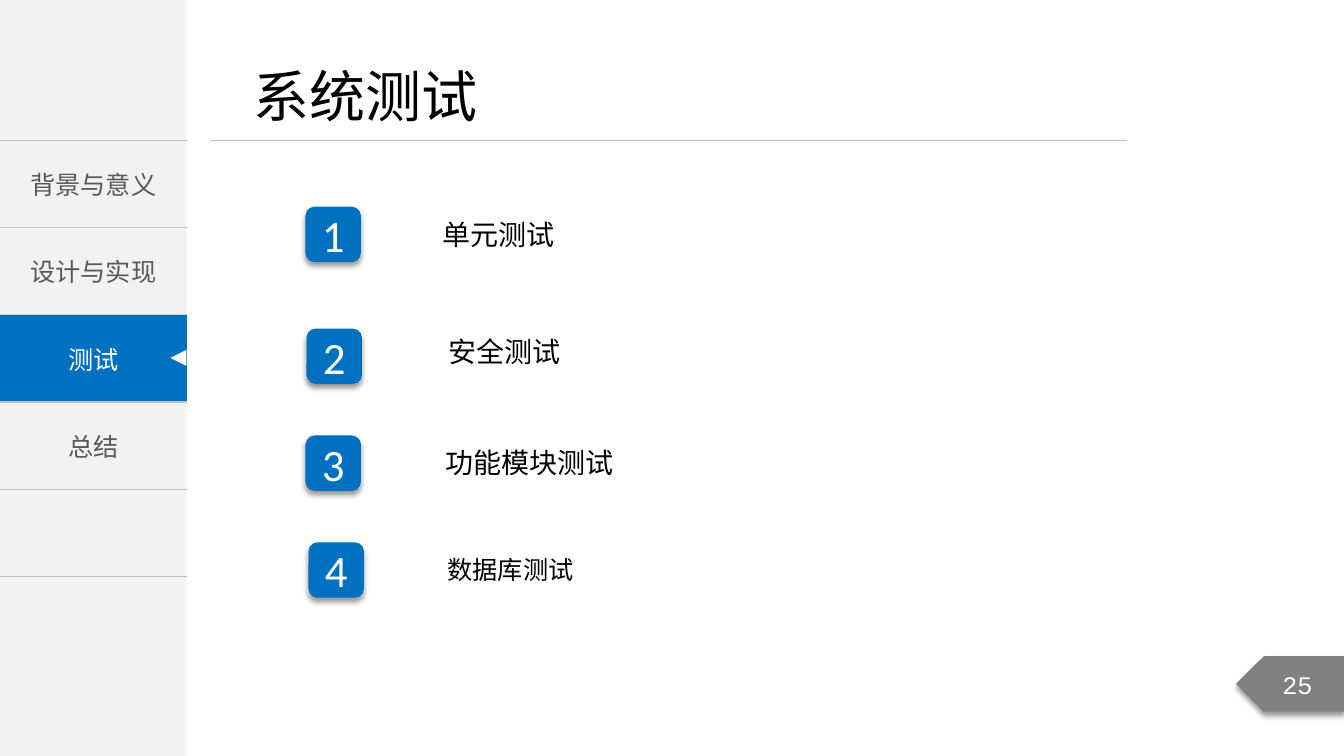
from dataclasses import dataclass

from pptx import Presentation
from pptx.dml.color import RGBColor
from pptx.enum.shapes import MSO_CONNECTOR, MSO_SHAPE
from pptx.enum.text import MSO_ANCHOR, MSO_AUTO_SIZE, PP_ALIGN
from pptx.oxml import parse_xml
from pptx.oxml.ns import nsdecls, qn
from pptx.util import Inches, Pt
from lxml.etree import SubElement


@dataclass(frozen=True)
class Theme:
    accent: str = "0070C0"
    panel: str = "F2F2F2"
    rule: str = "BFBFBF"
    muted: str = "595959"
    badge: str = "808080"
    white: str = "FFFFFF"
    black: str = "000000"
    chinese: str = "Noto Sans CJK SC"
    latin: str = "Calibri"
    mono: str = "Courier New"
    title: int = 40
    number: int = 32
    item: int = 20
    small: int = 18


theme = Theme()


def write_text(text_frame, text, size=theme.small, color=theme.black,
               font=theme.chinese, align=PP_ALIGN.CENTER, wrap=True):
    text_frame.word_wrap = wrap
    paragraph = text_frame.paragraphs[0]
    paragraph.alignment = align
    run = paragraph.add_run()
    run.text = text
    run.font.size = Pt(size)
    run.font.name = font
    run.font.color.rgb = RGBColor.from_string(color)
    SubElement(run.font._element, qn("a:ea"), typeface=theme.chinese)


def add_block(slide, kind, left, top, width, height, color, shadow=False):
    shape = slide.shapes.add_shape(
        kind, Inches(left), Inches(top), Inches(width), Inches(height))
    shape.fill.solid()
    shape.fill.fore_color.rgb = RGBColor.from_string(color)
    shape.line.fill.background()
    shape.shadow.inherit = False
    shape.text_frame.vertical_anchor = MSO_ANCHOR.MIDDLE
    if shadow:
        effects = shape._element.spPr.find(qn("a:effectLst"))
        effects.append(parse_xml(
            f'<a:outerShdw {nsdecls("a")} blurRad="{Pt(4)}" dist="{Pt(3)}" '
            f'dir="5400000" algn="t" rotWithShape="0"><a:srgbClr val="{theme.black}">'
            '<a:alpha val="40000"/></a:srgbClr></a:outerShdw>'))
    return shape


presentation = Presentation()
presentation.slide_width = Inches(13.33)
presentation.slide_height = Inches(7.5)
slide = presentation.slides.add_slide(presentation.slide_layouts[6])

menu_width = 1.85
menu_top = 1.39
row_height = 0.866
active_row = 2
add_block(slide, MSO_SHAPE.RECTANGLE, 0, 0, menu_width, 7.5, theme.panel)

menu = ["背景与意义", "", "测试", "总结", ""]
table = slide.shapes.add_table(
    len(menu), 1, 0, Inches(menu_top), Inches(menu_width),
    Inches(row_height * len(menu))).table
table.first_row = False
table.horz_banding = False
for index, label in enumerate(menu):
    table.rows[index].height = Inches(row_height)
    cell = table.cell(index, 0)
    cell.vertical_anchor = MSO_ANCHOR.MIDDLE
    properties = cell._tc.get_or_add_tcPr()
    for side in ("lnL", "lnR"):
        border = SubElement(properties, qn(f"a:{side}"), w="0")
        SubElement(border, qn("a:noFill"))
    for side in ("lnT", "lnB"):
        border = SubElement(properties, qn(f"a:{side}"), w=str(Pt(1)))
        border_fill = SubElement(border, qn("a:solidFill"))
        SubElement(border_fill, qn("a:srgbClr"), val=theme.rule)
    if index == active_row:
        cell.fill.solid()
        cell.fill.fore_color.rgb = RGBColor.from_string(theme.accent)
    else:
        cell.fill.background()
    if label:
        write_text(cell.text_frame, label,
                   color=theme.white if index == active_row else theme.muted)

design = add_block(slide, MSO_SHAPE.RECTANGLE, 0, 2.26, menu_width, 0.86, theme.panel)
write_text(design.text_frame, "设计与实现", color=theme.muted)

title_rule = slide.shapes.add_connector(
    MSO_CONNECTOR.STRAIGHT, Inches(2.09), Inches(menu_top), Inches(11.18), Inches(menu_top))
title_rule.line.color.rgb = RGBColor.from_string(theme.rule)
title_rule.line.width = Pt(0.5)
SubElement(title_rule._element.spPr, qn("a:effectLst"))

page_tag = add_block(slide, MSO_SHAPE.PENTAGON, 12.26, 6.51, 1.08, 0.55,
                     theme.badge, shadow=True)
page_tag._element.spPr.find(qn("a:xfrm")).set("flipH", "1")
write_text(page_tag.text_frame, "25", color=theme.white, font=theme.mono)

pointer = add_block(slide, MSO_SHAPE.ISOSCELES_TRIANGLE, 1.69, 3.47, 0.16, 0.16, theme.white)
pointer.rotation = 270

badges = [(3.03, 2.05), (3.04, 3.26), (3.03, 4.32), (3.06, 5.38)]
for number, (left, top) in enumerate(badges, start=1):
    badge = add_block(slide, MSO_SHAPE.ROUNDED_RECTANGLE, left, top, 0.55, 0.55,
                      theme.accent, shadow=True)
    write_text(badge.text_frame, str(number), size=theme.number,
               color=theme.white, font=theme.latin)

left_aligned, centered = PP_ALIGN.LEFT, PP_ALIGN.CENTER
texts = [
    ("系统测试", 2.42, 0.56, 2.45, 0.77, theme.title, theme.chinese, left_aligned, False),
    ("单元测试", 4.29, 2.11, 1.32, 0.44, theme.item, theme.latin, left_aligned, False),
    ("安全测试", 4.34, 3.27, 1.32, 0.44, theme.item, theme.chinese, centered, True),
    ("功能模块测试", 4.31, 4.37, 1.88, 0.44, theme.item, theme.chinese, centered, False),
    ("数据库测试", 4.34, 5.45, 2.23, 0.4, theme.small, theme.latin, left_aligned, True),
]
for text, left, top, width, height, size, font, align, wrap in texts:
    text_box = slide.shapes.add_textbox(
        Inches(left), Inches(top), Inches(width), Inches(height))
    text_box.text_frame.auto_size = MSO_AUTO_SIZE.SHAPE_TO_FIT_TEXT
    write_text(text_box.text_frame, text, size=size, font=font, align=align, wrap=wrap)

presentation.save("out.pptx")
